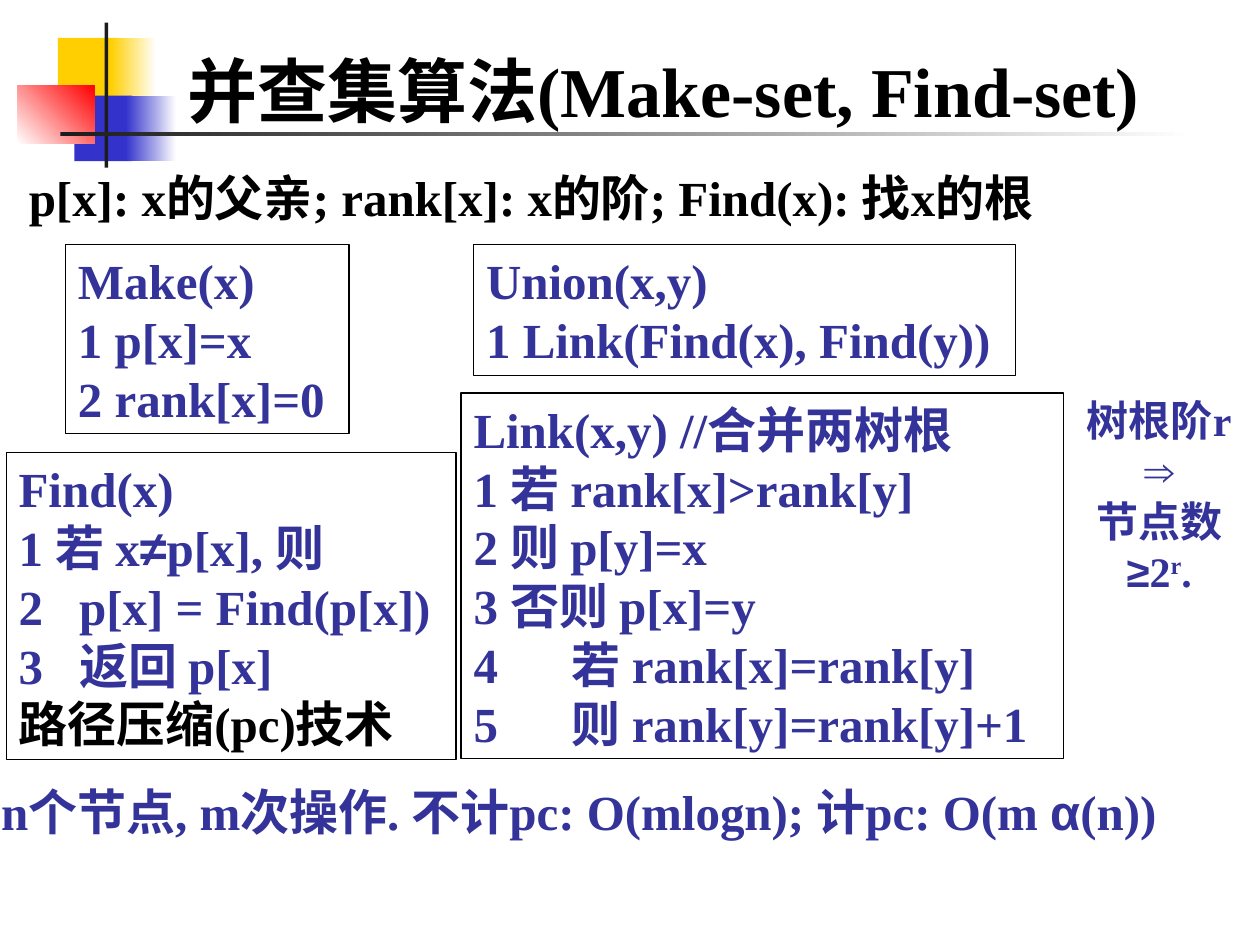
from pptx import Presentation
from pptx.dml.color import RGBColor
from pptx.enum.shapes import MSO_SHAPE
from pptx.enum.text import MSO_ANCHOR, MSO_AUTO_SIZE, PP_ALIGN
from pptx.util import Inches, Pt

BLACK, INDIGO, WHITE = "000000", "333399", "FFFFFF"
YELLOW, BLUE, RED, CHARCOAL = "FFCF01", "3333CC", "FF0000", "1C1C1C"
SYMBOLS = "≠α⇒≥"


def paint(color_format, value):
    color_format.rgb = RGBColor.from_string(value)


class SlideBuilder:
    """Holds the text style and the slide being filled."""

    font = "Times New Roman"
    symbol_font = "Arial"

    def __init__(self, slide):
        self.slide = slide

    def format_run(self, run, size, color):
        run.font.name = self.symbol_font if run.text in SYMBOLS else self.font
        run.font.size = Pt(size)
        run.font.bold = True
        paint(run.font.color, color)

    def set_lines(self, frame, lines, size, color):
        """Fill the frame; a line is a string or a tuple of runs."""
        frame.word_wrap = False
        frame.auto_size = MSO_AUTO_SIZE.SHAPE_TO_FIT_TEXT
        frame.vertical_anchor = MSO_ANCHOR.TOP
        for index, line in enumerate(lines):
            paragraph = frame.add_paragraph() if index else frame.paragraphs[0]
            paragraph.alignment = PP_ALIGN.LEFT
            if isinstance(line, str):
                paragraph.text = line
            else:
                for piece in line:
                    paragraph.add_run().text = piece
            for run in paragraph.runs:
                self.format_run(run, size, color)

    def title(self, text, *box):
        title = self.slide.shapes.title
        title.left, title.top, title.width, title.height = map(Inches, box)
        frame = title.text_frame
        frame.text = text
        frame.auto_size = MSO_AUTO_SIZE.NONE
        frame.vertical_anchor = MSO_ANCHOR.BOTTOM
        frame.paragraphs[0].alignment = PP_ALIGN.LEFT
        self.format_run(frame.paragraphs[0].runs[0], 40, BLACK)

    def rectangle(self, *box):
        shape = self.slide.shapes.add_shape(MSO_SHAPE.RECTANGLE, *map(Inches, box))
        shape.shadow.inherit = False
        return shape

    def block(self, box, start, end=None, angle=0):
        """Borderless rectangle, solid or fading from start to end."""
        shape = self.rectangle(*box)
        shape.line.fill.background()
        if end is None:
            shape.fill.solid()
            paint(shape.fill.fore_color, start)
            return
        shape.fill.gradient()
        shape.fill.gradient_angle = angle
        for stop, position, color in zip(shape.fill.gradient_stops, (0, 1), (start, end)):
            stop.position = position
            paint(stop.color, color)

    def code(self, box, lines, tab_indent=0):
        """Outlined pseudocode; text after a tab starts at tab_indent."""
        shape = self.rectangle(*box)
        shape.fill.background()
        paint(shape.line.color, BLACK)
        shape.line.width = Pt(0.75)
        self.set_lines(shape.text_frame, lines, 28, INDIGO)
        for paragraph in shape.text_frame.paragraphs:
            if "\t" in paragraph.text:
                properties = paragraph._p.get_or_add_pPr()
                properties.set("marL", str(Inches(tab_indent)))
                properties.set("indent", str(-Inches(tab_indent)))
        return shape.text_frame

    def text(self, box, lines, size, color):
        frame = self.slide.shapes.add_textbox(*map(Inches, box)).text_frame
        self.set_lines(frame, lines, size, color)
        return frame

    def statement(self, box, line, color):
        paragraph = self.text(box, [line], 28, color).paragraphs[0]
        paragraph.line_spacing = 1.1
        paragraph.space_before = paragraph.space_after = Pt(3.5)


def main():
    presentation = Presentation()
    presentation.slide_width, presentation.slide_height = Inches(10), Inches(7.5)
    slide = presentation.slides.add_slide(presentation.slide_layouts[5])
    builder = SlideBuilder(slide)

    builder.block((0.46, 0.3, 0.48, 0.52), YELLOW)
    builder.block((0.88, 0.3, 0.36, 0.52), YELLOW, WHITE)
    builder.block((0.59, 0.76, 0.46, 0.52), BLUE)
    builder.block((1, 0.76, 0.4, 0.52), BLUE, WHITE)
    builder.block((0.14, 0.68, 0.61, 0.46), WHITE, RED, angle=45)
    builder.block((0.83, 0.18, 0.03, 1.15), CHARCOAL)
    builder.block((0.48, 1.05, 9, 0.03), CHARCOAL, WHITE)

    builder.title("并查集算法(Make-set, Find-set)", 1.39, 0.17, 8.52, 0.92)

    builder.code((0.52, 1.94, 2.25, 1.5), ["Make(x)", "1 p[x]=x", "2 rank[x]=0"])
    builder.code((3.76, 1.94, 4.3, 1.04), ["Union(x,y)", "1 Link(Find(x), Find(y))"])
    builder.code((3.66, 3.12, 4.78, 2.9), [
        "Link(x,y) //合并两树根",
        "1 若 rank[x]>rank[y]",
        "2 则 p[y]=x",
        "3 否则 p[x]=y",
        "4\t若 rank[x]=rank[y]",
        "5\t则 rank[y]=rank[y]+1",
    ], tab_indent=0.78)
    find = builder.code((0.05, 3.59, 3.57, 2.44), [
        "Find(x)",
        ("1 若 x", "≠", "p[x], 则"),
        "2\tp[x] = Find(p[x])",
        "3\t返回 p[x]",
        "路径压缩(pc)技术",
    ], tab_indent=0.48)
    path_compression = find.paragraphs[-1].runs[0]
    paint(path_compression.font.color, BLACK)

    builder.statement((0.13, 1.23, 8.91, 0.62),
                      "p[x]: x的父亲; rank[x]: x的阶; Find(x): 找x的根", BLACK)
    builder.statement((-0.09, 6.11, 10.22, 0.62),
                      ("n个节点, m次操作. 不计pc: O(mlogn); 计pc: O(m ", "α", "(n))"), INDIGO)

    rank_bound = builder.text((8.41, 3.08, 1.58, 1.7),
                              ["树根阶r", "⇒", "节点数", ("≥", "2", "r", ".")], 24, INDIGO)
    for paragraph in rank_bound.paragraphs:
        paragraph.alignment = PP_ALIGN.CENTER
    exponent = rank_bound.paragraphs[-1].runs[2]
    exponent.font._element.set("baseline", "30000")

    presentation.save("out.pptx")


if __name__ == "__main__":
    main()
